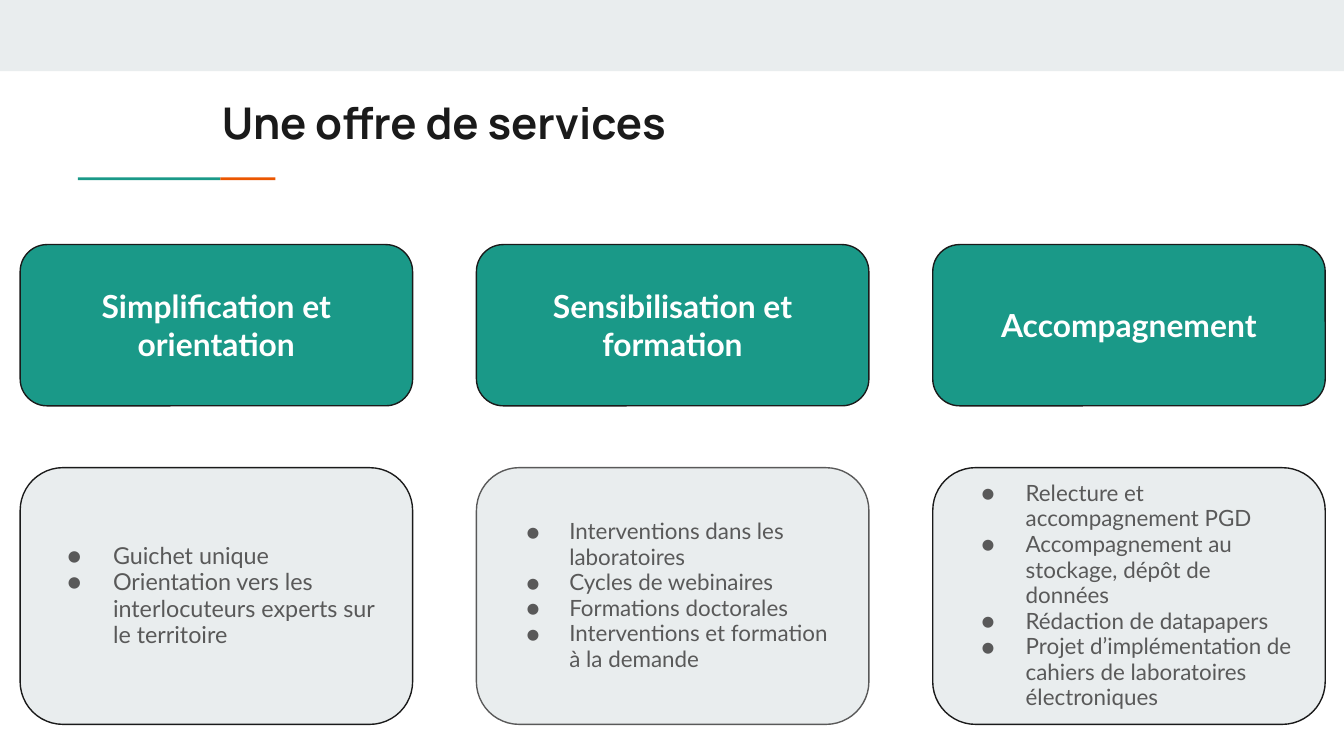
from dataclasses import dataclass
from typing import Any

from lxml import etree
from pptx import Presentation
from pptx.dml.color import RGBColor
from pptx.enum.shapes import MSO_SHAPE
from pptx.enum.text import MSO_ANCHOR, PP_ALIGN
from pptx.oxml.ns import qn
from pptx.util import Inches, Pt

RECTANGLE = MSO_SHAPE.RECTANGLE
ROUNDED = MSO_SHAPE.ROUNDED_RECTANGLE
MIDDLE = MSO_ANCHOR.MIDDLE
LEFT, CENTER = PP_ALIGN.LEFT, PP_ALIGN.CENTER

# Widescreen page, 16:9
SLIDE_WIDTH = 10
SLIDE_HEIGHT = SLIDE_WIDTH * 9 / 16
INSET = 0.1

# Grid: three equal columns between the margins; rows hold (top, height)
COLUMN_COUNT, COLUMN_WIDTH = 3, 2.92
LEFT_MARGIN, RIGHT_MARGIN = 0.15, 0.14
COLUMN_STEP = (SLIDE_WIDTH - LEFT_MARGIN - RIGHT_MARGIN - COLUMN_WIDTH) / (COLUMN_COUNT - 1)
HEADING_ROW, DETAIL_ROW = (1.82, 1.2), (3.48, 1.91)

# Heading, details, text size, hanging indent, detail outline
SERVICES = [
    ("Simplification et orientation",
     ["Guichet unique",
      "Orientation vers les interlocuteurs experts sur le territoire"],
     12.5, 0.34, "1A1A1A"),
    ("Sensibilisation et formation",
     ["Interventions dans les laboratoires",
      "Cycles de webinaires",
      "Formations doctorales",
      "Interventions et formation à la demande"],
     12, 0.32, "595959"),
    ("Accompagnement",
     ["Relecture et accompagnement PGD",
      "Accompagnement au stockage, dépôt de données",
      "Rédaction de datapapers",
      "Projet d’implémentation de cahiers de laboratoires électroniques"],
     12, 0.33, "1A1A1A"),
]


def color(hex_value):
    return RGBColor.from_string(hex_value)


@dataclass
class ServiceSlide:
    slide: Any
    title_font: str = "Manrope"
    body_font: str = "Lato"
    ink: str = "1A1A1A"
    green: str = "1A9988"
    orange: str = "EB5600"
    pale: str = "E9EDEE"
    gray: str = "595959"
    white: str = "FFFFFF"

    def format_runs(self, paragraph, font_name, size, hex_value, bold=False):
        for run in paragraph.runs:
            run.font.name = font_name
            run.font.size = Pt(size)
            run.font.bold = bold
            run.font.color.rgb = color(hex_value)

    def prepare_frame(self, frame):
        frame.word_wrap = True
        frame.vertical_anchor = MIDDLE
        frame.margin_left = frame.margin_right = Inches(INSET)
        frame.margin_top = frame.margin_bottom = Inches(INSET)

    def title(self, text, left, top, width, height):
        shape = self.slide.shapes.title
        shape.left, shape.top = Inches(left), Inches(top)
        shape.width, shape.height = Inches(width), Inches(height)
        self.prepare_frame(shape.text_frame)
        shape.text_frame.text = text
        paragraph = shape.text_frame.paragraphs[0]
        paragraph.alignment = LEFT
        self.format_runs(paragraph, self.title_font, 23.4, self.ink, True)

    def block(self, kind, left, top, width, height, fill, outline=None):
        shape = self.slide.shapes.add_shape(
            kind, Inches(left), Inches(top), Inches(width), Inches(height))
        shape.shadow.inherit = False
        shape.fill.solid()
        shape.fill.fore_color.rgb = color(fill)
        if outline:
            shape.line.color.rgb = color(outline)
            shape.line.width = Pt(0.75)
        else:
            shape.line.fill.background()
        return shape

    def card(self, column, row, fill, outline):
        left = LEFT_MARGIN + column * COLUMN_STEP
        top, height = row
        shape = self.block(ROUNDED, left, top, COLUMN_WIDTH, height, fill, outline)
        self.prepare_frame(shape.text_frame)
        return shape.text_frame

    def heading_card(self, column, text):
        frame = self.card(column, HEADING_ROW, self.green, self.ink)
        frame.text = text
        paragraph = frame.paragraphs[0]
        paragraph.alignment = CENTER
        self.format_runs(paragraph, self.body_font, 17, self.white, True)

    def detail_card(self, column, items, size, hanging, outline):
        frame = self.card(column, DETAIL_ROW, self.pale, outline)
        frame.text = "\n".join(items)
        for paragraph in frame.paragraphs:
            self.bullet(paragraph, hanging)
            paragraph.alignment = LEFT
            paragraph.line_spacing = 0.95
            self.format_runs(paragraph, self.body_font, size, self.gray)

    def bullet(self, paragraph, hanging):
        properties = paragraph._p.get_or_add_pPr()
        properties.set("marL", str(Inches(0.5)))
        properties.set("indent", str(-Inches(hanging)))
        bullet_color = etree.SubElement(properties, qn("a:buClr"))
        etree.SubElement(bullet_color, qn("a:srgbClr"), val=self.gray)
        etree.SubElement(properties, qn("a:buFont"), typeface=self.body_font)
        etree.SubElement(properties, qn("a:buChar"), char="●")


def main():
    presentation = Presentation()
    presentation.slide_width = Inches(SLIDE_WIDTH)
    presentation.slide_height = Inches(SLIDE_HEIGHT)
    page = ServiceSlide(presentation.slides.add_slide(presentation.slide_layouts[5]))

    # Top band and title with its two-colour rule
    page.block(RECTANGLE, 0, 0, SLIDE_WIDTH, 0.53, page.pale)
    page.block(RECTANGLE, 0.58, 1.32, 1.06, 0.02, page.green)
    page.block(RECTANGLE, 1.64, 1.32, 0.41, 0.02, page.orange)
    page.title("Une offre de services", 1.55, 0.61, 8.41, 0.59)

    # One column per service
    for column, (heading, items, size, hanging, outline) in enumerate(SERVICES):
        page.heading_card(column, heading)
        page.detail_card(column, items, size, hanging, outline)

    presentation.save("out.pptx")


if __name__ == "__main__":
    main()
